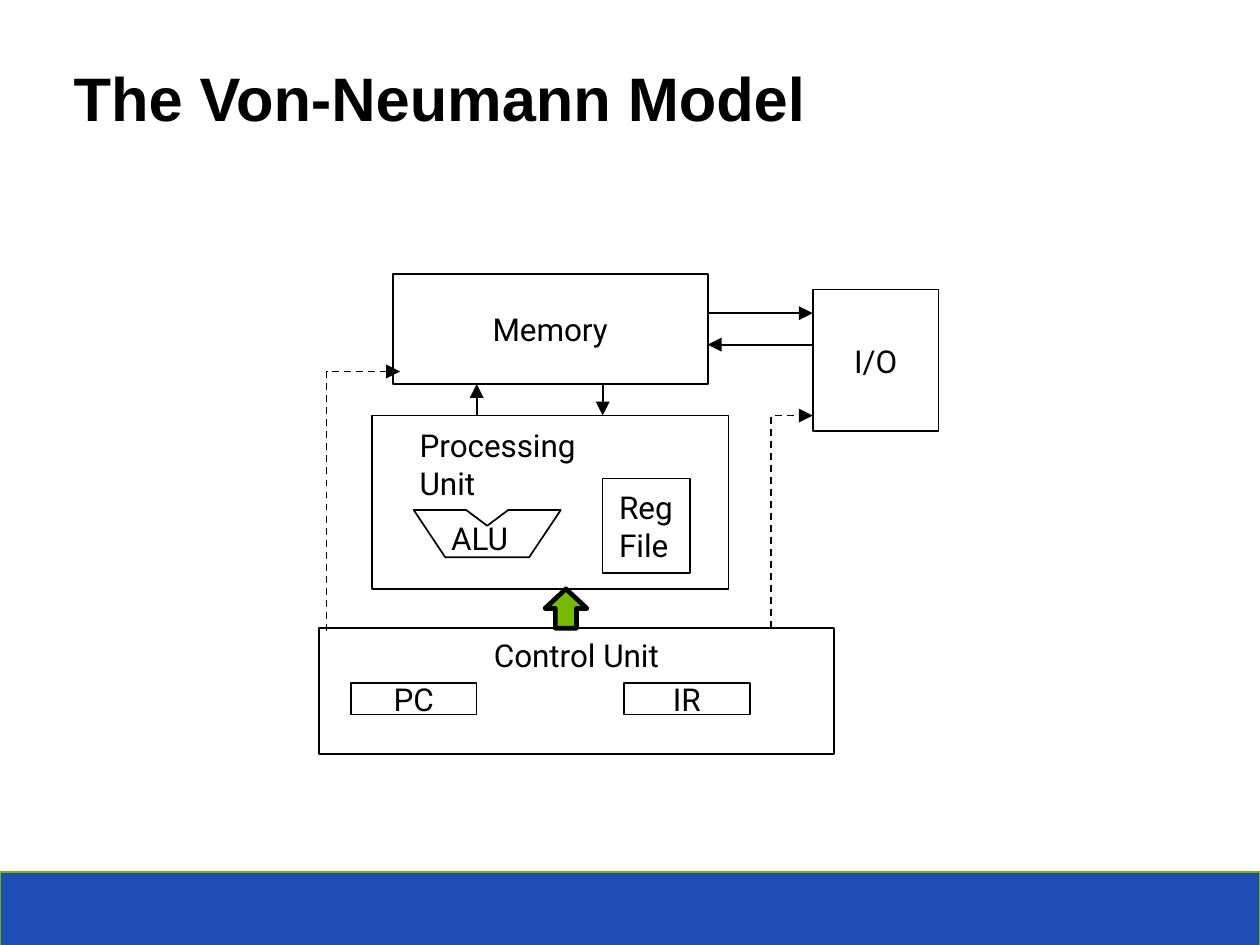
"""Builds the Von-Neumann model slide on a grid of sixteenths of an inch."""
from lxml import etree
from pptx import Presentation
from pptx.dml.color import RGBColor
from pptx.enum.dml import MSO_LINE
from pptx.enum.shapes import MSO_CONNECTOR, MSO_SHAPE
from pptx.enum.text import MSO_ANCHOR, PP_ALIGN
from pptx.oxml.ns import qn
from pptx.util import Inches, Pt

RECT, ARROW = MSO_SHAPE.RECTANGLE, MSO_SHAPE.UP_ARROW
LINE, ELBOW = MSO_CONNECTOR.STRAIGHT, MSO_CONNECTOR.ELBOW
LEFT, MID = PP_ALIGN.LEFT, PP_ALIGN.CENTER
TOP, CENTER = MSO_ANCHOR.TOP, MSO_ANCHOR.MIDDLE
BLACK, BLUE, GREEN, EDGE = "000000", "204DB5", "76B900", "72B400"
WIDE = 7.5
HIGH = WIDE * 3 / 4
UNIT, COL, ROW = 1 / 16, 1.9, 1.63

TITLE = "The Von-Neumann Model"
BOXES = [
    ("Memory", (7, 0, 30, 10.5), MID, CENTER),
    ("", (5, 13.5, 34, 16.5), MID, CENTER),
    ("Control Unit", (0, 33.75, 49, 12), MID, TOP),
    ("I/O", (47, 1.5, 12, 13.5), MID, CENTER),
    ("Reg\nFile", (27, 19.5, 8.3, 9), LEFT, CENTER),
    ("PC", (3, 39, 12, 3), MID, CENTER),
    ("IR", (29, 39, 12, 3), MID, CENTER),
]
LABELS = [
    ("Processing Unit", (8, 13.7, 19, 8)),
    ("ALU", (11, 22.6, 9, 5)),
]
ALU = [(9, 22.5), (14, 22.5), (16, 24), (18, 22.5), (23, 22.5), (20, 27), (12, 27)]
FLOWS = [
    ((15, 13.5), (15, 10.5)),
    ((27, 10.5), (27, 13.5)),
    ((37, 3.75), (47, 3.75)),
    ((47, 6.75), (37, 6.75)),
]
SIGNALS = [((0.7, 34), (7.7, 9.3)), ((43, 33.75), (47, 13.5))]
DRIVE = (21.5, 30, 4, 3.75)


def color(code):
    return RGBColor.from_string(code)


def spot(x, y):
    return Inches(COL + x * UNIT), Inches(ROW + y * UNIT)


def place(x, y, w, h):
    return *spot(x, y), Inches(w * UNIT), Inches(h * UNIT)


def style(shape, fill=None, edge=BLACK, width=0.75):
    shape.shadow.inherit = False
    if fill:
        shape.fill.solid()
        shape.fill.fore_color.rgb = color(fill)
    else:
        shape.fill.background()
    shape.line.color.rgb = color(edge)
    shape.line.width = Pt(width)


def write(shape, text, align=LEFT, anchor=TOP, wrap=False,
          face="Roboto", size=13.5, bold=False):
    frame = shape.text_frame
    frame.text = text
    frame.word_wrap = wrap
    frame.vertical_anchor = anchor
    for para in frame.paragraphs:
        para.alignment = align
        font = para.font
        font.name, font.size, font.bold = face, Pt(size), bold
        font.color.rgb = color(BLACK)


def link(kind, start, end):
    wire = shapes.add_connector(kind, *spot(*start), *spot(*end))
    wire.line.color.rgb = color(BLACK)
    wire.line.width = Pt(0.75)
    return wire


def finish(wire):
    props = wire._element.spPr
    tail = etree.SubElement(props.find(qn("a:ln")), qn("a:tailEnd"))
    tail.set("type", "triangle")
    etree.SubElement(props, qn("a:effectLst"))


def bend(start, end):
    """Draws a dashed elbow that runs up and then right."""
    midx, midy = (start[0] + end[0]) / 2, (start[1] + end[1]) / 2
    run, rise = (end[0] - start[0]) / 2, (start[1] - end[1]) / 2
    wire = link(ELBOW, (midx - rise, midy - run), (midx + rise, midy + run))
    wire.line.dash_style = MSO_LINE.DASH
    props = wire._element.spPr
    props.find(qn("a:xfrm")).set("rot", str(270 * 60000))
    props.find(qn("a:prstGeom")).set("prst", "bentConnector2")
    finish(wire)


deck = Presentation()
deck.slide_width, deck.slide_height = Inches(WIDE), Inches(HIGH)
shapes = deck.slides.add_slide(deck.slide_layouts[6]).shapes

band = shapes.add_shape(RECT, 0, Inches(5.19), Inches(WIDE), Inches(0.44))
style(band, BLUE, EDGE)
head = shapes.add_textbox(Inches(0.34), Inches(0.31), Inches(6.82), Inches(0.48))
write(head, TITLE, wrap=True, face="Arial", size=26.3, bold=True)

for text, area, align, anchor in BOXES:
    box = shapes.add_shape(RECT, *place(*area))
    style(box)
    if text:
        write(box, text, align, anchor)

pen = shapes.build_freeform(*spot(*ALU[0]))
pen.add_line_segments([spot(*point) for point in ALU[1:]], close=True)
style(pen.convert_to_shape())

for text, area in LABELS:
    write(shapes.add_textbox(*place(*area)), text, wrap=True)
for start, end in FLOWS:
    finish(link(LINE, start, end))
for start, end in SIGNALS:
    bend(start, end)
style(shapes.add_shape(ARROW, *place(*DRIVE)), GREEN, width=2)

deck.save("out.pptx")
